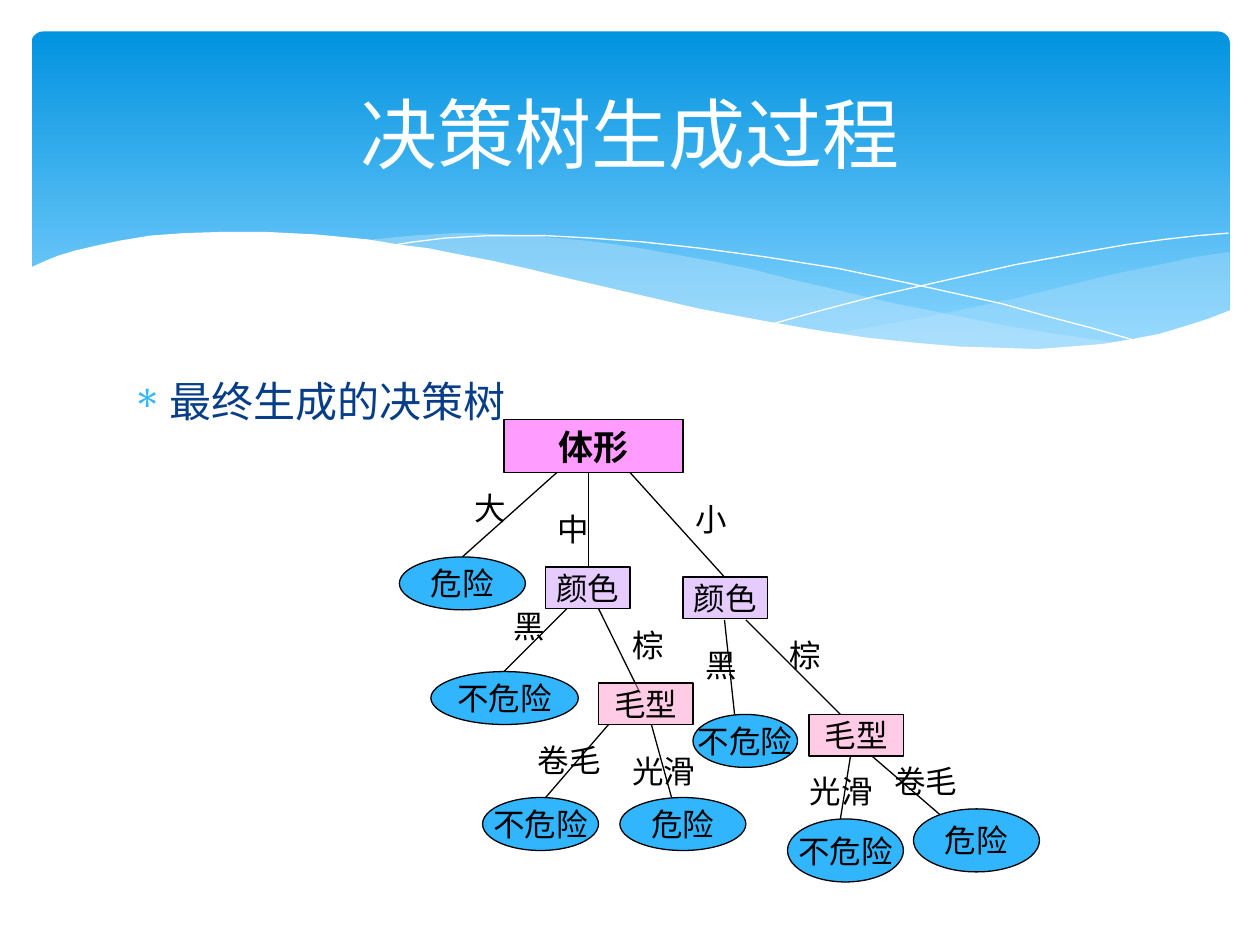
from lxml import etree
from pptx import Presentation
from pptx.dml.color import RGBColor
from pptx.enum.shapes import MSO_CONNECTOR, MSO_SHAPE
from pptx.enum.text import MSO_ANCHOR, MSO_AUTO_SIZE, PP_ALIGN
from pptx.oxml.ns import qn
from pptx.util import Inches, Pt

RECT, OVAL, ROUNDED = MSO_SHAPE.RECTANGLE, MSO_SHAPE.OVAL, MSO_SHAPE.ROUNDED_RECTANGLE
STRAIGHT = MSO_CONNECTOR.STRAIGHT
MIDDLE, TOP = MSO_ANCHOR.MIDDLE, MSO_ANCHOR.TOP
CENTER, LEFT = PP_ALIGN.CENTER, PP_ALIGN.LEFT
GROW = MSO_AUTO_SIZE.SHAPE_TO_FIT_TEXT

WHITE = RGBColor(0xFF, 0xFF, 0xFF)
BLACK = RGBColor(0, 0, 0)
NAVY = RGBColor(0x07, 0x3E, 0x87)
BLUE = RGBColor(0x31, 0xB6, 0xFD)
BANNER_TOP = RGBColor(0x02, 0x93, 0xE0)
BANNER_BOTTOM = RGBColor(0x83, 0xD3, 0xFE)
PALE = RGBColor(0xC6, 0xE7, 0xFC)
MAGENTA = RGBColor(0xFF, 0x00, 0xFF)
VIOLET = RGBColor(0xCC, 0x99, 0xFF)
PINK = RGBColor(0xFF, 0x99, 0xCC)

RIGHT_WAVE = [
    (9.76, 2), (9.48, 2.04), (9.21, 2.1), (8.91, 2.16), (8.61, 2.23), (8.05, 2.37),
    (7.53, 2.48), (7.06, 2.57), (6.61, 2.65), (6.91, 2.69), (7.19, 2.72), (7.45, 2.75),
    (7.69, 2.77), (8.03, 2.78), (8.35, 2.77), (8.63, 2.75), (8.89, 2.72), (9.13, 2.67),
    (9.35, 2.62), (9.49, 2.57), (9.63, 2.52), (9.76, 2.47)]
LEFT_WAVE = [
    (8.93, 2.73), (8.66, 2.69), (8.37, 2.65), (8.07, 2.6), (7.75, 2.54), (7.41, 2.47),
    (7.06, 2.4), (6.68, 2.31), (6.29, 2.22), (5.98, 2.14), (5.69, 2.08), (5.41, 2.03),
    (5.14, 1.98), (4.89, 1.94), (4.65, 1.91), (4.42, 1.89), (4.2, 1.87), (3.99, 1.86),
    (3.8, 1.85), (3.61, 1.85), (3.28, 1.87), (2.86, 1.91), (3.23, 1.96), (3.62, 2.03),
    (4.04, 2.11), (4.49, 2.22), (4.91, 2.32), (5.3, 2.4), (5.66, 2.48), (6.01, 2.55),
    (6.34, 2.61), (6.65, 2.66), (6.95, 2.7), (7.22, 2.74), (7.48, 2.76), (7.85, 2.78),
    (8.28, 2.78), (8.57, 2.77)]
FALLING_LINE = [
    (3.09, 1.95), (3.28, 1.92), (3.53, 1.89), (3.87, 1.87), (4.33, 1.87), (4.69, 1.89),
    (5.1, 1.92), (5.56, 1.97), (6.08, 2.04), (6.65, 2.13), (7.27, 2.26), (7.95, 2.41),
    (8.31, 2.51), (8.69, 2.61), (9.07, 2.72)]
RISING_LINE = [
    (6.13, 2.57), (6.53, 2.46), (6.95, 2.35), (7.48, 2.23), (8.06, 2.1), (8.66, 1.99),
    (8.95, 1.94), (9.24, 1.9), (9.51, 1.87), (9.75, 1.85)]
WHITE_WAVE = [
    (9.77, 2.46), (9.59, 2.53), (9.4, 2.59), (9.2, 2.65), (8.99, 2.69), (8.75, 2.73),
    (8.5, 2.75), (8.23, 2.77), (7.93, 2.76), (7.61, 2.75), (7.26, 2.72), (6.88, 2.68),
    (6.48, 2.62), (6.03, 2.54), (5.55, 2.45), (5.03, 2.33), (4.47, 2.2), (4.18, 2.13),
    (3.91, 2.07), (3.65, 2.02), (3.4, 1.97), (3.16, 1.94), (2.92, 1.9), (2.71, 1.88),
    (2.5, 1.86), (2.3, 1.85), (2.11, 1.84), (1.77, 1.84), (1.46, 1.85), (1.19, 1.87),
    (0.95, 1.91), (0.76, 1.95), (0.59, 1.99), (0.46, 2.03), (0.36, 2.07), (0.23, 2.13),
    (0.23, 3.29), (9.77, 3.29)]

BRANCHES = [
    (4.42, 3.75, 3.67, 4.42), (4.67, 3.75, 4.67, 4.5), (5, 3.75, 5.75, 4.58),
    (4.5, 4.83, 4, 5.33), (4.75, 4.83, 5.08, 5.5),
    (5.75, 4.92, 5.83, 5.67), (5.92, 4.92, 6.67, 5.67),
    (4.83, 5.75, 4.33, 6.33), (5.17, 5.75, 5.33, 6.33),
    (6.75, 6, 6.67, 6.5), (6.92, 6, 7.5, 6.5)]
TESTS = [
    ("颜色", 4.33, 4.5, 0.67, VIOLET), ("颜色", 5.42, 4.58, 0.67, VIOLET),
    ("毛型", 4.75, 5.42, 0.75, PINK), ("毛型", 6.42, 5.67, 0.75, PINK)]
OUTCOMES = [
    ("危险", 3.17, 4.42, 1, 0.42), ("不危险", 3.42, 5.33, 1.17, 0.42),
    ("不危险", 5.5, 5.67, 0.83, 0.42), ("不危险", 3.83, 6.33, 0.92, 0.42),
    ("危险", 4.92, 6.33, 1, 0.42), ("不危险", 6.25, 6.5, 0.92, 0.5),
    ("危险", 7.25, 6.42, 1, 0.5)]
LABELS = [
    ("大", 3.67, 3.83), ("中", 4.33, 4), ("小", 5.42, 3.92),
    ("黑", 3.98, 4.77), ("棕", 4.92, 4.92), ("黑", 5.5, 5.08), ("棕", 6.17, 5),
    ("卷毛", 7, 6), ("光滑", 6.33, 6.08), ("卷毛", 4.17, 5.83), ("光滑", 4.92, 5.92)]


class TreeSlide:
    heading_font = "Cabin"
    node_font = "Arial"
    node_size = 18
    line_width = Pt(0.75)

    def __init__(self, prs):
        self.s = prs.slides.add_slide(prs.slide_layouts[6])

    def paint(self, sp, color, opacity=100):
        sp.shadow.inherit = False
        sp.fill.solid()
        sp.fill.fore_color.rgb = color
        if opacity < 100:
            clr = sp._element.spPr.find(qn("a:solidFill"))[0]
            etree.SubElement(clr, qn("a:alpha")).set("val", str(opacity * 1000))

    def set_text(self, sp, text, size, font, color, align=LEFT, anchor=TOP, wrap=False, bold=False):
        tf = sp.text_frame
        tf.word_wrap = wrap
        tf.vertical_anchor = anchor
        p = tf.paragraphs[0]
        p.text = text
        p.alignment = align
        p.font.size = Pt(size)
        p.font.name = font
        p.font.bold = bold
        p.font.color.rgb = color
        return p

    def banner(self, x, y, w, h):
        sp = self.s.shapes.add_shape(ROUNDED, Inches(x), Inches(y), Inches(w), Inches(h))
        sp.adjustments[0] = 0.034
        sp.shadow.inherit = False
        sp.line.fill.background()
        sp.fill.gradient()
        sp.fill.gradient_angle = 270
        stops = [(0, BANNER_TOP), (0.9, BANNER_BOTTOM)]
        for stop, (position, color) in zip(sp.fill.gradient_stops, stops):
            stop.position = position
            stop.color.rgb = color

    def outline(self, points, close):
        (x, y), *rest = [(Inches(px), Inches(py)) for px, py in points]
        fb = self.s.shapes.build_freeform(x, y)
        fb.add_line_segments(rest, close=close)
        return fb.convert_to_shape()

    def wave(self, points, color, opacity=100):
        sp = self.outline(points, True)
        self.paint(sp, color, opacity)
        sp.line.fill.background()

    def curve(self, points):
        sp = self.outline(points, False)
        sp.shadow.inherit = False
        sp.fill.background()
        sp.line.color.rgb = WHITE
        sp.line.width = Pt(0)

    def heading(self, text, x, y, w, h, size, color, align=LEFT, anchor=TOP):
        sp = self.s.shapes.add_textbox(Inches(x), Inches(y), Inches(w), Inches(h))
        return self.set_text(sp, text, size, self.heading_font, color, align, anchor, wrap=True)

    def bullet(self, text, x, y, w, h):
        p = self.heading(text, x, y, w, h, 24, NAVY)
        pPr = p._p.get_or_add_pPr()
        pPr.set("marL", str(Inches(0.3)))
        pPr.set("indent", str(-Inches(0.3)))
        bu_clr = etree.Element(qn("a:buClr"))
        etree.SubElement(bu_clr, qn("a:srgbClr")).set("val", str(BLUE))
        bu_font = etree.Element(qn("a:buFont"), typeface="Symbol")
        bu_char = etree.Element(qn("a:buChar"), char="∗")
        for i, el in enumerate((bu_clr, bu_font, bu_char)):
            pPr.insert(i, el)

    def branch(self, x1, y1, x2, y2):
        cn = self.s.shapes.add_connector(STRAIGHT, Inches(x1), Inches(y1), Inches(x2), Inches(y2))
        cn.line.color.rgb = BLACK
        cn.line.width = self.line_width
        etree.SubElement(cn._element.spPr, qn("a:effectLst"))

    def node(self, kind, text, x, y, w, h, color, opacity=100, size=node_size, bold=False):
        sp = self.s.shapes.add_shape(kind, Inches(x), Inches(y), Inches(w), Inches(h))
        self.paint(sp, color, opacity)
        sp.line.color.rgb = BLACK
        sp.line.width = self.line_width
        self.set_text(sp, text, size, self.node_font, BLACK, CENTER, MIDDLE, bold=bold)

    def label(self, text, x, y):
        w = 0.2 + 0.25 * len(text)
        sp = self.s.shapes.add_textbox(Inches(x), Inches(y), Inches(w), Inches(0.4))
        self.set_text(sp, text, self.node_size, self.node_font, BLACK)
        sp.text_frame.auto_size = GROW


def main():
    prs = Presentation()
    prs.slide_width, prs.slide_height = Inches(10), Inches(7.5)
    tree = TreeSlide(prs)
    tree.banner(0.25, 0.25, 9.51, 2.7)
    tree.wave(RIGHT_WAVE, PALE, 29)
    tree.wave(LEFT_WAVE, PALE, 40)
    tree.curve(FALLING_LINE)
    tree.curve(RISING_LINE)
    tree.wave(WHITE_WAVE, WHITE)
    tree.heading("决策树生成过程", 0.5, 0.37, 9, 1.37, 44, WHITE, CENTER, MIDDLE)
    tree.bullet("最终生成的决策树", 0.95, 2.93, 8.1, 3.77)
    tree.node(RECT, "体形", 4, 3.33, 1.42, 0.42, MAGENTA, 39, size=20, bold=True)
    for ends in BRANCHES:
        tree.branch(*ends)
    for text, x, y, w, color in TESTS:
        tree.node(RECT, text, x, y, w, 0.33, color, 50)
    for text, x, y, w, h in OUTCOMES:
        tree.node(OVAL, text, x, y, w, h, BLUE)
    for text, x, y in LABELS:
        tree.label(text, x, y)
    prs.save("out.pptx")


if __name__ == "__main__":
    main()
